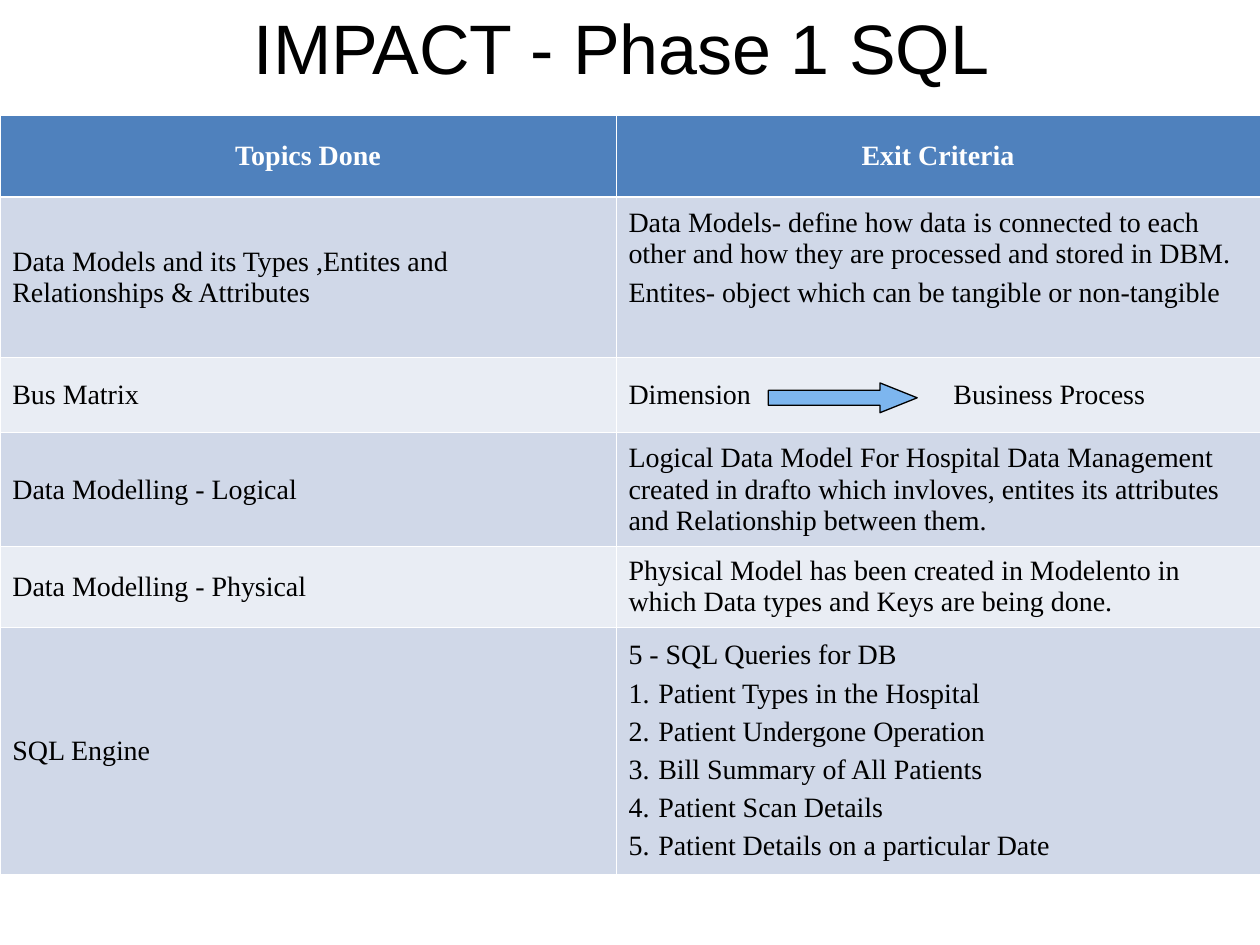
from dataclasses import dataclass

from lxml import etree
from pptx import Presentation
from pptx.dml.color import RGBColor
from pptx.enum.shapes import MSO_SHAPE
from pptx.enum.text import MSO_ANCHOR, MSO_AUTO_SIZE, PP_ALIGN
from pptx.oxml.ns import qn
from pptx.util import Cm, Pt

CENTER, LEFT = PP_ALIGN.CENTER, PP_ALIGN.LEFT
MIDDLE = MSO_ANCHOR.MIDDLE
RIGHT_ARROW = MSO_SHAPE.RIGHT_ARROW
NO_AUTO_SIZE = MSO_AUTO_SIZE.NONE

BLACK = RGBColor(0x00, 0x00, 0x00)
WHITE = RGBColor(0xFF, 0xFF, 0xFF)
HEADER_BLUE = RGBColor(0x4F, 0x81, 0xBD)
BAND_DARK = RGBColor(0xD0, 0xD8, 0xE8)
BAND_LIGHT = RGBColor(0xE9, 0xED, 0xF4)
ARROW_BLUE = RGBColor(0x7D, 0xB6, 0xEF)

THIN, THICK = Pt(0.45), Pt(1.47)
COLUMN_WIDTHS = (Cm(12.42), Cm(12.98))
NUMBER_INDENT = Cm(0.6)
PROCESS_TAB = Cm(6.55)
MARGIN_BOTTOM = Cm(0.13)


@dataclass(frozen=True)
class TopicRow:
    height: Cm
    topic: str
    criteria: tuple[str, ...]
    numbered: tuple[str, ...] = ()
    criteria_margin: Cm = MARGIN_BOTTOM


ROWS = (
    TopicRow(Cm(1.65), "Topics Done", ("Exit Criteria",)),
    TopicRow(
        Cm(3.24),
        "Data Models and its Types ,Entites and Relationships & Attributes",
        (
            "Data Models- define how data is connected to each other "
            "and how they are processed and stored in DBM.",
            "Entites- object which can be tangible or non-tangible",
        ),
        criteria_margin=Cm(0.91),
    ),
    TopicRow(Cm(1.51), "Bus Matrix", ("Dimension\tBusiness Process",)),
    TopicRow(
        Cm(2.3),
        "Data Modelling - Logical",
        (
            "Logical Data Model For Hospital Data Management created in "
            "drafto which invloves, entites its attributes and "
            "Relationship between them.",
        ),
    ),
    TopicRow(
        Cm(1.62),
        "Data Modelling - Physical",
        (
            "Physical Model has been created in Modelento in which "
            "Data types and Keys are being done.",
        ),
    ),
    TopicRow(
        Cm(4.99),
        "SQL Engine",
        ("5 - SQL Queries for DB",),
        numbered=(
            "Patient Types in the Hospital",
            "Patient Undergone Operation",
            "Bill Summary of All Patients",
            "Patient Scan Details",
            "Patient Details on a particular Date",
        ),
    ),
)


def write_text(paragraph, text: str, *, size=16, font="Times New Roman", color=BLACK,
               bold=False, align=LEFT, space_before=4) -> None:
    paragraph.alignment = align
    paragraph.space_before = Pt(space_before)
    run = paragraph.add_run()
    run.text = text
    run.font.size = Pt(size)
    run.font.name = font
    run.font.bold = bold
    run.font.color.rgb = color


def add_numbering(paragraph) -> None:
    properties = paragraph._p.get_or_add_pPr()
    properties.set("marL", str(NUMBER_INDENT))
    properties.set("indent", str(-NUMBER_INDENT))
    etree.SubElement(properties, qn("a:buFont"), typeface="+mj-lt")
    etree.SubElement(properties, qn("a:buAutoNum"), type="arabicPeriod")


def add_tab_stop(paragraph, position: Cm) -> None:
    tabs = etree.SubElement(paragraph._p.get_or_add_pPr(), qn("a:tabLst"))
    etree.SubElement(tabs, qn("a:tab"), pos=str(position), algn="l")


def set_borders(cell, top: Pt, bottom: Pt) -> None:
    """Draw white borders; must run before the fill, which follows them in the XML."""
    properties = cell._tc.get_or_add_tcPr()
    for side, width in (("L", THIN), ("R", THIN), ("T", top), ("B", bottom)):
        line = etree.SubElement(properties, qn(f"a:ln{side}"), w=str(width))
        fill = etree.SubElement(line, qn("a:solidFill"))
        etree.SubElement(fill, qn("a:srgbClr"), val=str(WHITE))


def fill_cell(cell, row_index: int, texts: tuple[str, ...],
              numbered: tuple[str, ...] = (), margin_bottom: Cm = MARGIN_BOTTOM) -> None:
    is_header = row_index == 0
    set_borders(cell, top=THICK if row_index == 1 else THIN,
                bottom=THICK if is_header else THIN)
    cell.fill.solid()
    band = BAND_DARK if row_index % 2 else BAND_LIGHT
    cell.fill.fore_color.rgb = HEADER_BLUE if is_header else band
    cell.vertical_anchor = MIDDLE
    cell.margin_left = cell.margin_right = Cm(0.25)
    cell.margin_top, cell.margin_bottom = Cm(0.13), margin_bottom
    frame = cell.text_frame
    for index, text in enumerate(texts + numbered):
        paragraph = frame.add_paragraph() if index else frame.paragraphs[0]
        write_text(paragraph, text, bold=is_header,
                   color=WHITE if is_header else BLACK,
                   align=CENTER if is_header else LEFT)
        if index >= len(texts):
            add_numbering(paragraph)
        if "\t" in text:
            add_tab_stop(paragraph, PROCESS_TAB)


def add_title(slide, text: str) -> None:
    title = slide.shapes.title
    title.left, title.top, title.width, title.height = Cm(1.9), Cm(0.13), Cm(21.6), Cm(1.6)
    frame = title.text_frame
    frame.auto_size = NO_AUTO_SIZE
    frame.vertical_anchor = MIDDLE
    write_text(frame.paragraphs[0], text, size=40, font="Arial", align=CENTER,
               space_before=0)


def add_topic_table(slide) -> None:
    table = slide.shapes.add_table(
        len(ROWS), len(COLUMN_WIDTHS), Cm(0), Cm(2.32),
        sum(COLUMN_WIDTHS), sum(row.height for row in ROWS)).table
    table.first_row = table.horz_banding = False
    for column, width in zip(table.columns, COLUMN_WIDTHS):
        column.width = width
    for index, row in enumerate(ROWS):
        table.rows[index].height = row.height
        fill_cell(table.cell(index, 0), index, (row.topic,))
        fill_cell(table.cell(index, 1), index, row.criteria, row.numbered,
                  row.criteria_margin)


def add_process_arrow(slide) -> None:
    arrow = slide.shapes.add_shape(RIGHT_ARROW, Cm(15.49), Cm(7.72), Cm(3), Cm(0.6))
    arrow.adjustments[0], arrow.adjustments[1] = 0.5, 1.25
    arrow.shadow.inherit = False
    arrow.fill.solid()
    arrow.fill.fore_color.rgb = ARROW_BLUE
    arrow.line.color.rgb = BLACK
    arrow.line.width = Pt(0.75)


def main() -> None:
    presentation = Presentation()
    presentation.slide_width, presentation.slide_height = Cm(25.4), Cm(19.05)
    slide = presentation.slides.add_slide(presentation.slide_layouts[5])
    add_title(slide, "IMPACT - Phase 1 SQL ")
    add_topic_table(slide)
    add_process_arrow(slide)
    presentation.save("out.pptx")


if __name__ == "__main__":
    main()
